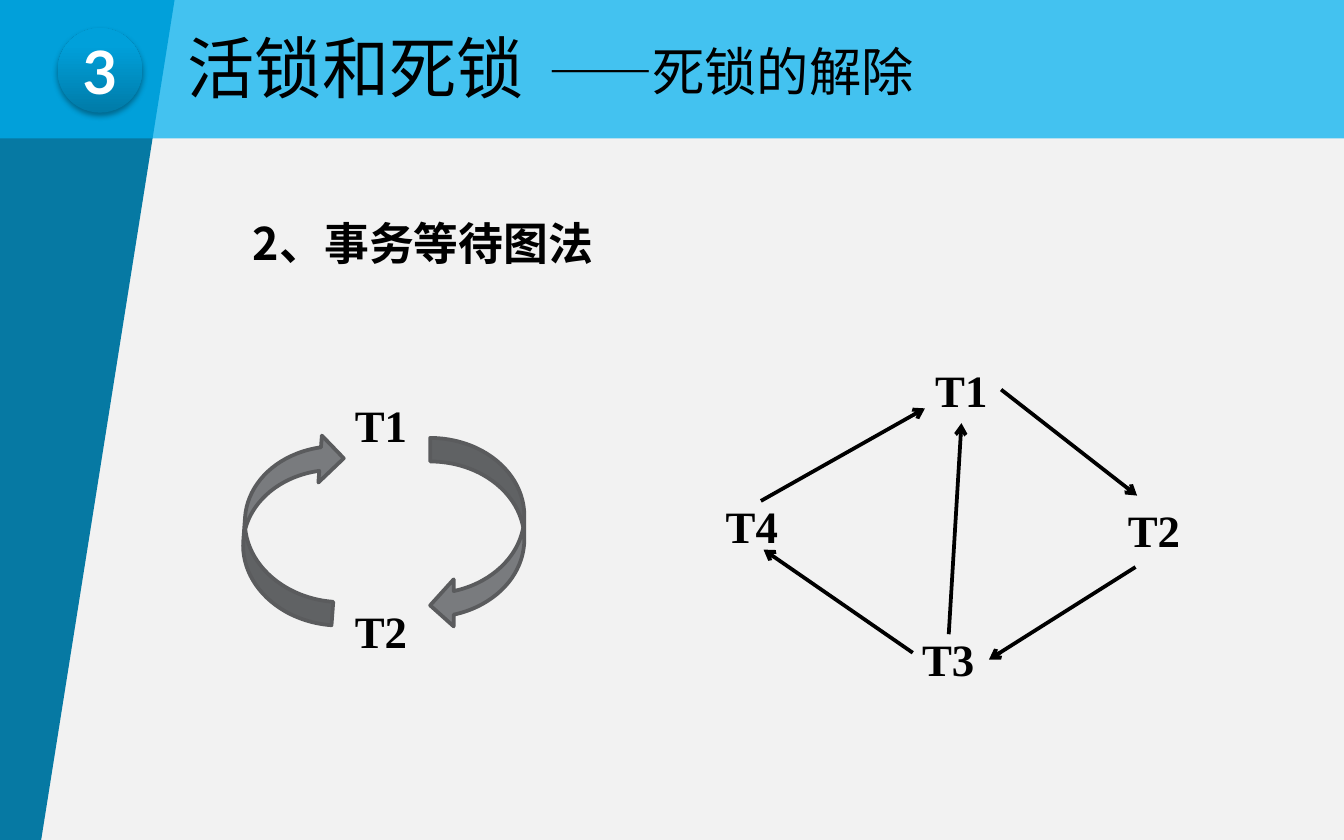
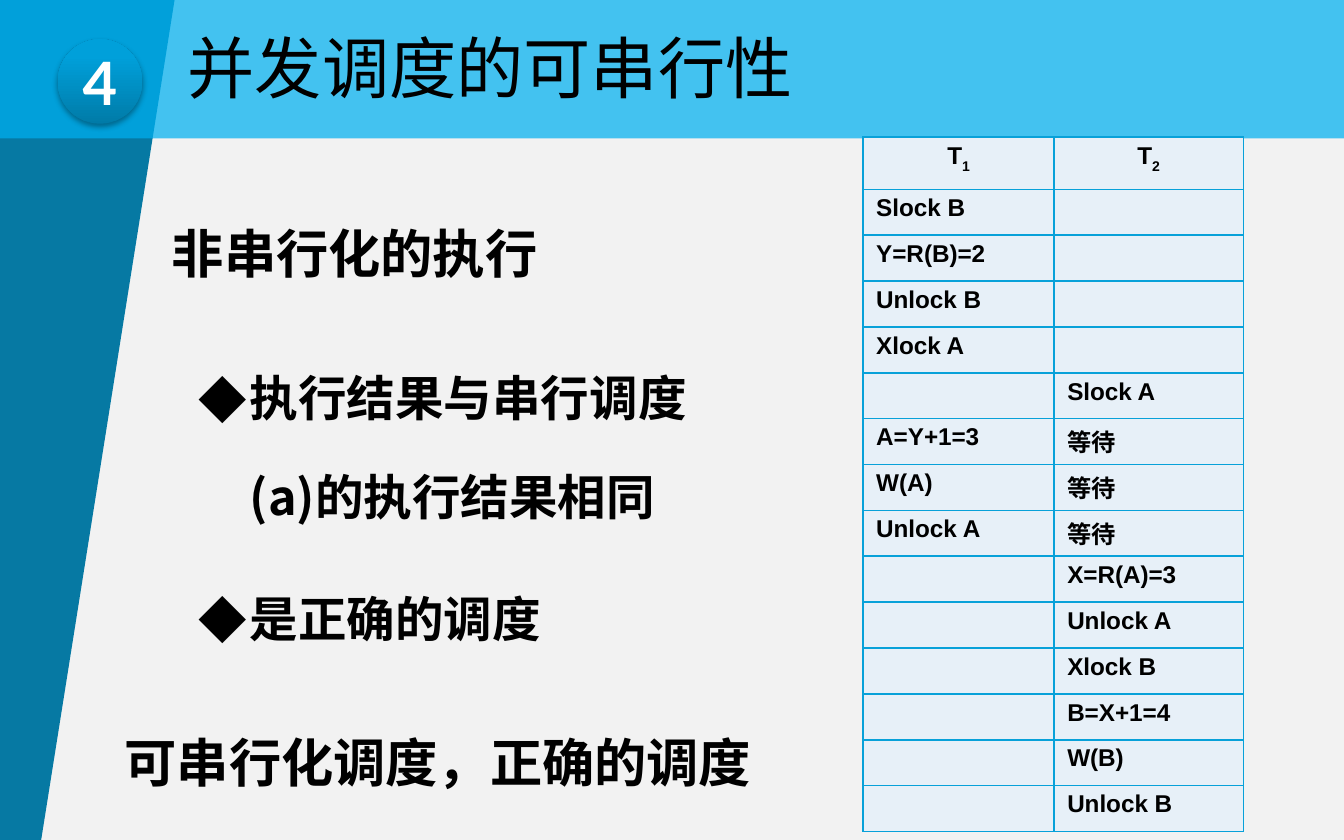
from lxml import etree
from pptx import Presentation
from pptx.dml.color import RGBColor
from pptx.enum.shapes import MSO_CONNECTOR, MSO_SHAPE
from pptx.enum.text import MSO_ANCHOR, MSO_AUTO_SIZE, PP_ALIGN
from pptx.oxml.ns import qn
from pptx.util import Cm, Pt

RECT, OVAL = MSO_SHAPE.RECTANGLE, MSO_SHAPE.OVAL
CURVED_ARROW = MSO_SHAPE.CURVED_LEFT_ARROW
STRAIGHT = MSO_CONNECTOR.STRAIGHT
TOP, MIDDLE = MSO_ANCHOR.TOP, MSO_ANCHOR.MIDDLE
LEFT, CENTER = PP_ALIGN.LEFT, PP_ALIGN.CENTER
SIDE_BOTTOM, SIDE_RIGHT = 2, 3

BLACK = RGBColor(0x00, 0x00, 0x00)
WHITE = RGBColor(0xFF, 0xFF, 0xFF)
BACKGROUND = RGBColor(0xF2, 0xF2, 0xF2)
SIDE_BLUE = RGBColor(0x06, 0x79, 0xA3)
BAND_BLUE = RGBColor(0x00, 0xB0, 0xF0)
BADGE_DARK = RGBColor(0x00, 0x7B, 0xA8)
BADGE_MID = RGBColor(0x00, 0xA0, 0xDA)
BADGE_LIGHT = RGBColor(0x00, 0xA0, 0xDB)
ARROW_FILL = RGBColor(0x79, 0x7B, 0x7E)
ARROW_LINE = RGBColor(0x5A, 0x5B, 0x5D)
CELL_FILL = RGBColor(0xE7, 0xF0, 0xF8)
CELL_BORDER = RGBColor(0x08, 0xA1, 0xD9)

ARIAL, LATO, SERIF = "Arial", "Lato", "Times New Roman"
CJK = "Noto Sans CJK SC"

SCHEDULE = [
    ("Slock B", ""), ("Y=R(B)=2", ""), ("Unlock B", ""), ("Xlock A", ""),
    ("", "Slock A"), ("A=Y+1=3", "等待"), ("W(A)", "等待"),
    ("Unlock A", "等待"), ("", "X=R(A)=3"), ("", "Unlock A"),
    ("", "Xlock B"), ("", "B=X+1=4"), ("", "W(B)"), ("", "Unlock B"),
]


def sub(parent, tag, **attrs):
    """Append a DrawingML element and return it."""
    el = etree.SubElement(parent, qn(tag))
    for name, value in attrs.items():
        el.set(name, str(value))
    return el


def box(left, top, width, height):
    return Cm(left), Cm(top), Cm(width), Cm(height)


def style_run(r, size, font, color=BLACK, bold=False):
    r.font.size = Pt(size)
    r.font.name = font
    r.font.bold = bold
    r.font.color.rgb = color
    r.font._element.find(qn("a:latin")).addnext(
        r.font._element.makeelement(qn("a:ea"), {"typeface": CJK}))


def add_text(shapes, text, at, size, font, bold=False, align=LEFT,
             anchor=TOP, wrap=True, grow=False):
    sp = shapes.add_textbox(*box(*at))
    tf = sp.text_frame
    tf.text = text
    tf.word_wrap = wrap
    tf.vertical_anchor = anchor
    tf.auto_size = MSO_AUTO_SIZE.SHAPE_TO_FIT_TEXT if grow else MSO_AUTO_SIZE.NONE
    for p in tf.paragraphs:
        p.alignment = align
        for r in p.runs:
            style_run(r, size, font, bold=bold)
    return sp


def add_bullets(shapes, items, at):
    sp = add_text(shapes, "\n".join(items), at, 26, CJK, bold=True, grow=True)
    for i, p in enumerate(sp.text_frame.paragraphs):
        pPr = p._p.get_or_add_pPr()
        pPr.set("marL", str(Cm(0.97)))
        pPr.set("indent", str(-Cm(0.97)))
        sub(pPr, "a:buFont", typeface=CJK)
        sub(pPr, "a:buChar", char="◆")
        p.line_spacing = 1.7
        if i:
            p.space_before = Pt(12)


def add_node(shapes, name, left, top):
    return add_text(shapes, name, (left, top, 1.5, 1.27), 24, SERIF, bold=True,
                    align=CENTER, wrap=False, grow=True)


def add_arrow(shapes, x1, y1, x2, y2):
    cxn = shapes.add_connector(STRAIGHT, Cm(x1), Cm(y1), Cm(x2), Cm(y2))
    cxn.line.color.rgb = BLACK
    cxn.line.width = Pt(2)
    sub(cxn.line._get_or_add_ln(), "a:tailEnd", type="arrow")
    sub(cxn._element.spPr, "a:effectLst")
    return cxn


def add_curved_arrow(shapes, left, top, rotation=0):
    sp = shapes.add_shape(CURVED_ARROW, *box(left, top, 1.78, 3.61))
    sp.shadow.inherit = False
    sp.rotation = rotation
    sp.fill.solid()
    sp.fill.fore_color.rgb = ARROW_FILL
    sp.line.color.rgb = ARROW_LINE
    sp.line.width = Pt(2)


def add_badge(shapes, number, top):
    """Numbered disc with a vertical gradient and a soft shadow below."""
    sp = shapes.add_shape(OVAL, *box(1.09, top, 1.6, 1.6))
    sp.line.fill.background()
    sp.shadow.inherit = False
    spPr = sp._element.spPr
    grad = etree.Element(qn("a:gradFill"), rotWithShape="1")
    stops = sub(grad, "a:gsLst")
    for pos, color in ((0, BADGE_DARK), (80, BADGE_MID), (100, BADGE_LIGHT)):
        sub(sub(stops, "a:gs", pos=pos * 1000), "a:srgbClr", val=color)
    sub(grad, "a:lin", ang=270 * 60000, scaled=0)
    spPr.find(qn("a:prstGeom")).addnext(grad)
    shadow = sub(spPr.find(qn("a:effectLst")), "a:outerShdw", blurRad=Pt(3.1),
                 dist=Pt(1.8), dir=90 * 60000, rotWithShape=0)
    sub(sub(shadow, "a:srgbClr", val=BLACK), "a:alpha", val=35000)
    tf = sp.text_frame
    tf.text = number
    tf.word_wrap = False
    tf.vertical_anchor = MIDDLE
    p = tf.paragraphs[0]
    p.alignment = CENTER
    style_run(p.runs[0], 32, LATO, WHITE, bold=True)


def add_frame(prs):
    """New slide with the shared background, side panel and title band."""
    slide = prs.slides.add_slide(prs.slide_layouts[6])
    slide.background.fill.solid()
    slide.background.fill.fore_color.rgb = BACKGROUND
    corners = [(Cm(x), Cm(y)) for x, y in
               ((-0.03, 15.98), (0, -0.03), (3.3, 0), (0.76, 16))]
    builder = slide.shapes.build_freeform(*corners[0])
    builder.add_line_segments(corners[1:], close=True)
    panel = builder.convert_to_shape()
    band = slide.shapes.add_shape(RECT, *box(-0.03, 0, 25.43, 2.62))
    for sp, color in ((panel, SIDE_BLUE), (band, BAND_BLUE)):
        sp.shadow.inherit = False
        sp.fill.solid()
        sp.fill.fore_color.rgb = color
        sp.line.fill.background()
    clr = band._element.spPr.find(qn("a:solidFill"))[0]
    sub(clr, "a:alpha", val=72000)
    return slide


def add_title(shapes, text, width):
    add_text(shapes, text, (3.3, 0, width, 2.54), 36, ARIAL, anchor=MIDDLE)


def format_cell(cell):
    cell.margin_left = cell.margin_right = Cm(0.25)
    cell.margin_top = cell.margin_bottom = Cm(0.1)
    tcPr = cell._tc.get_or_add_tcPr()
    for side in ("a:lnL", "a:lnR", "a:lnT", "a:lnB"):
        ln = sub(tcPr, side, w=Pt(1))
        sub(sub(ln, "a:solidFill"), "a:srgbClr", val=CELL_BORDER)
    cell.fill.solid()
    cell.fill.fore_color.rgb = CELL_FILL
    p = cell.text_frame.paragraphs[0]
    for r in p.runs:
        style_run(r, 13, ARIAL, bold=True)
    if not p.runs:
        sub(p._p, "a:endParaRPr", sz=1300)


def add_schedule(shapes):
    height, header = Cm(13.13), Cm(0.99)
    frame = shapes.add_table(len(SCHEDULE) + 1, 2, Cm(16.31), Cm(2.59),
                             Cm(7.19), height)
    table = frame.table
    table.columns[0].width, table.columns[1].width = Cm(3.61), Cm(3.58)
    for row in table.rows:
        row.height = (height - header) // len(SCHEDULE)
    table.rows[0].height = header
    for col in range(2):
        p = table.cell(0, col).text_frame.paragraphs[0]
        p.alignment = CENTER
        p.add_run().text = "T"
        r = p.add_run()
        r.text = str(col + 1)
        r.font._element.set("baseline", "-30000")
        for row, steps in enumerate(SCHEDULE, start=1):
            if steps[col]:
                table.cell(row, col).text = steps[col]
    for cell in table.iter_cells():
        format_cell(cell)


def add_cycle(slide):
    shapes = slide.shapes.add_group_shape().shapes
    add_node(shapes, "T1", 6.45, 7.39)
    add_node(shapes, "T2", 6.45, 11.28)
    add_curved_arrow(shapes, 4.62, 8.15, rotation=184.2)
    add_curved_arrow(shapes, 8.13, 8.28)


def add_wait_graph(slide):
    shapes = slide.shapes.add_group_shape().shapes
    t1 = add_node(shapes, "T1", 17.42, 6.73)
    add_node(shapes, "T2", 21.06, 9.37)
    add_node(shapes, "T3", 17.17, 11.81)
    add_node(shapes, "T4", 13.46, 9.3)
    t1_to_t2 = add_arrow(shapes, 18.95, 7.37, 21.49, 9.37)
    t1_to_t2.begin_connect(t1, SIDE_RIGHT)
    add_arrow(shapes, 21.46, 10.72, 18.69, 12.47)
    add_arrow(shapes, 17.25, 12.34, 14.43, 10.39)
    add_arrow(shapes, 14.38, 9.47, 17.48, 7.72)
    t3_to_t1 = add_arrow(shapes, 17.93, 11.99, 18.19, 8.03)
    t3_to_t1.end_connect(t1, SIDE_BOTTOM)


def build_deadlock_slide(prs):
    slide = add_frame(prs)
    shapes = slide.shapes
    add_text(shapes, "2、事务等待图法", (3.5, 3.96, 8.99, 1.27), 24, CJK,
             bold=True, align=CENTER, grow=True)
    add_cycle(slide)
    add_wait_graph(slide)
    add_text(shapes, "——死锁的解除", (10.11, 0.33, 8.36, 2.01), 28, ARIAL,
             anchor=MIDDLE)
    add_title(shapes, "活锁和死锁", 7.01)
    add_badge(shapes, "3", 0.53)


def build_serializability_slide(prs):
    shapes = add_frame(prs).shapes
    add_text(shapes, "可串行化调度，正确的调度", (2.11, 13.74, 13.59, 1.3), 28,
             LATO, bold=True, anchor=MIDDLE)
    add_schedule(shapes)
    add_bullets(shapes, ["执行结果与串行调度(a)的执行结果相同", "是正确的调度"],
                (3.5, 6.07, 10.39, 6.05))
    add_title(shapes, "并发调度的可串行性", 11.99)
    add_badge(shapes, "4", 0.74)
    add_text(shapes, "非串行化的执行", (3, 4.04, 8.71, 1.47), 28, ARIAL,
             bold=True, anchor=MIDDLE)


def main():
    prs = Presentation()
    prs.slide_width, prs.slide_height = Cm(25.4), Cm(15.88)
    build_deadlock_slide(prs)
    build_serializability_slide(prs)
    prs.save("out.pptx")


if __name__ == "__main__":
    main()
